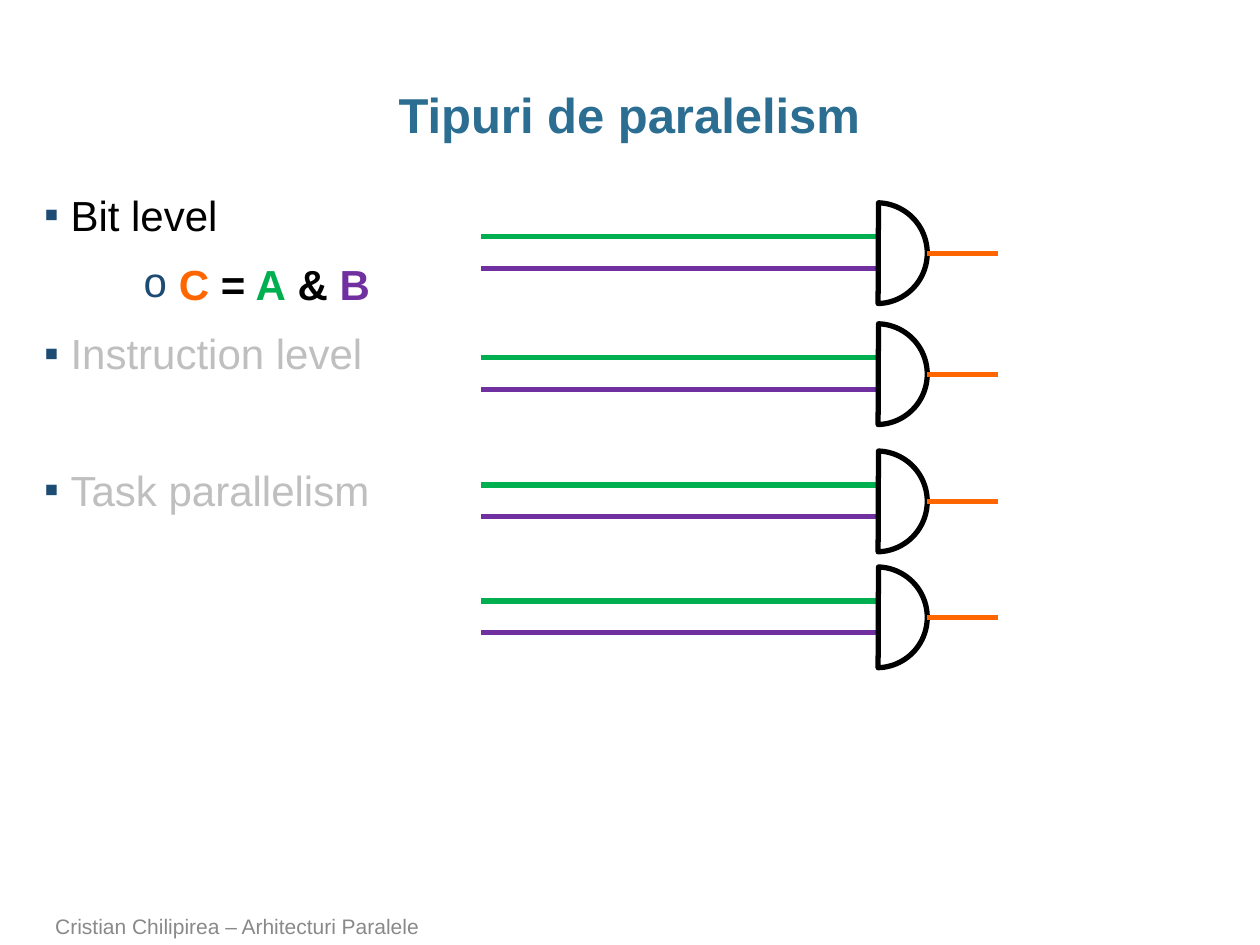
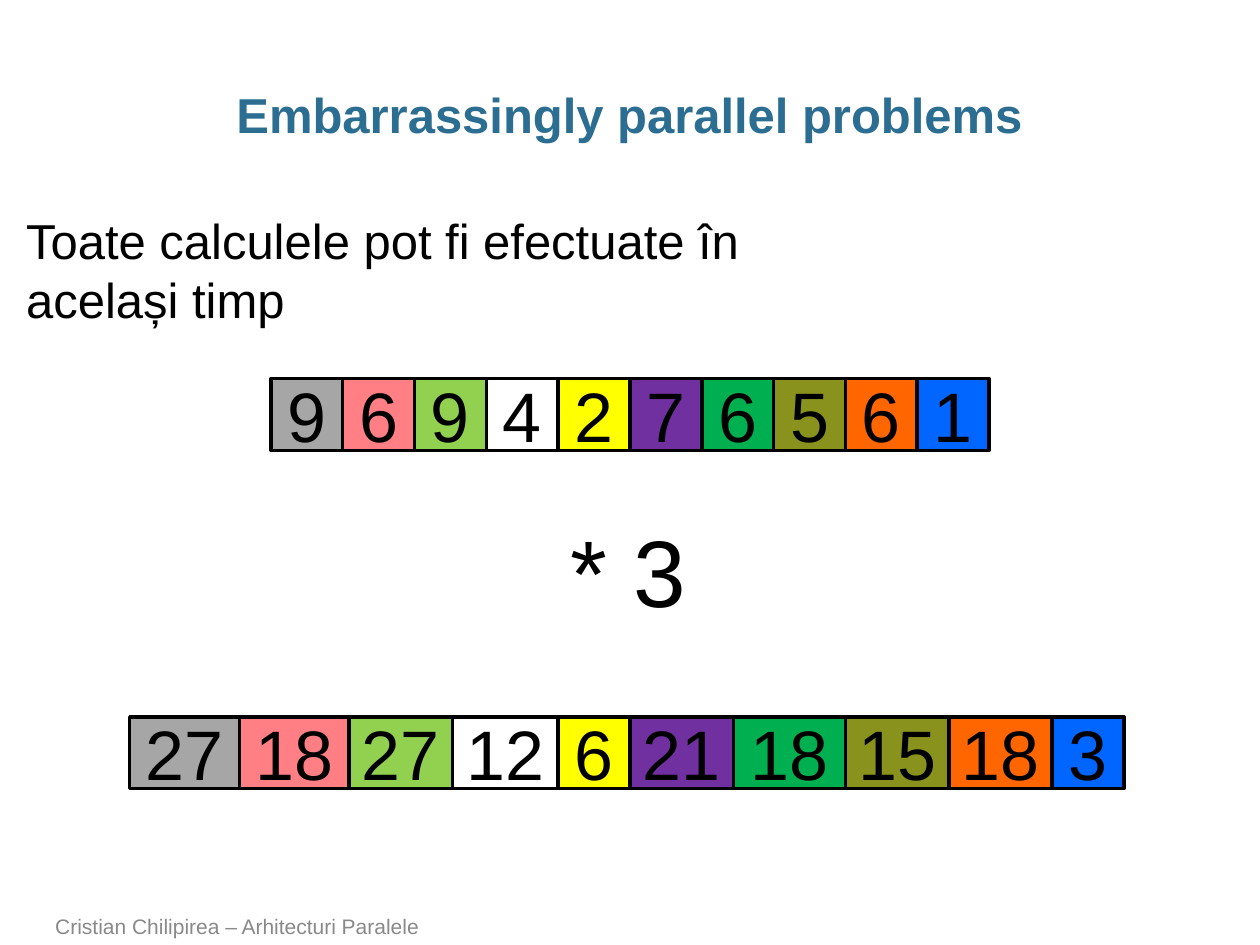
from itertools import accumulate

from lxml.etree import SubElement
from pptx import Presentation
from pptx.dml.color import RGBColor
from pptx.enum.shapes import MSO_CONNECTOR, MSO_SHAPE
from pptx.enum.text import MSO_ANCHOR, MSO_AUTO_SIZE, PP_ALIGN
from pptx.oxml.ns import qn
from pptx.util import Inches, Pt

COLS, ROWS = 100, 75
FONT = "Arial"
HEX = {
    "title": "2C6D92", "bullet": "1C4C74", "foot": "898989", "faded": "BFBFBF",
    "black": "000000", "gray": "A6A6A6", "pink": "FF7F85", "lime": "92D050",
    "yellow": "FFFF00", "purple": "7030A0", "green": "00B050",
    "olive": "8A921E", "orange": "FF6600", "blue": "0066FF",
}


def rgb(name):
    return RGBColor.from_string(HEX[name])


class Deck:
    """Holds the style and the current slide; lengths are grid columns and rows."""

    def __init__(self):
        self.prs = Presentation()
        self.prs.slide_width, self.prs.slide_height = Inches(10), Inches(7.5)
        self.col = self.prs.slide_width / COLS
        self.row = self.prs.slide_height / ROWS

    def grid(self, x, y, *size):
        """Turn (x, y) or (x, y, width, height) into slide lengths."""
        steps = (self.col, self.row) * 2
        return [round(n * step) for n, step in zip((x, y, *size), steps)]

    def style(self, para, size, color="black", bold=False):
        font = para.font
        font.name, font.size, font.bold = FONT, Pt(size), bold
        font.color.rgb = rgb(color)

    def place(self, shape, *area):
        """Move a placeholder and give it the shared margins."""
        shape.left, shape.top, shape.width, shape.height = self.grid(*area)
        frame = shape.text_frame
        frame.auto_size = MSO_AUTO_SIZE.NONE
        frame.margin_left = frame.margin_right = 0
        frame.margin_top = frame.margin_bottom = Inches(0.05)
        return frame

    def slide(self, title, layout):
        self.now = self.prs.slides.add_slide(self.prs.slide_layouts[layout])
        frame = self.place(self.now.shapes.title, 3.4, 6.8, 93.1, 5)
        frame.vertical_anchor = MSO_ANCHOR.MIDDLE
        para = frame.paragraphs[0]
        para.text = title
        para.alignment, para.line_spacing = PP_ALIGN.CENTER, 0.95
        self.style(para, 28, "title", True)
        self.text("Cristian Chilipirea – Arhitecturi Paralele",
                  (3.4, 72.2, 73.7, 2.8), 12, "foot", anchor=MSO_ANCHOR.BOTTOM)

    def text(self, words, area, size, color="black", wrap=True,
             anchor=MSO_ANCHOR.TOP):
        frame = self.now.shapes.add_textbox(*self.grid(*area)).text_frame
        frame.word_wrap, frame.vertical_anchor = wrap, anchor
        para = frame.paragraphs[0]
        para.text = words
        self.style(para, size, color)

    def bullet(self, para, mark, left, hang):
        props = para._p.get_or_add_pPr()
        props.set("marL", str(Inches(left)))
        props.set("indent", str(-Inches(hang)))
        tint = SubElement(props, qn("a:buClr"))
        SubElement(tint, qn("a:srgbClr"), val=HEX["bullet"])
        SubElement(props, qn("a:buFont"), typeface=FONT)
        SubElement(props, qn("a:buChar"), char=mark)

    def items(self, rows, *area):
        """Fill the body from (level, space before, bold, coloured parts) rows."""
        frame = self.place(self.now.placeholders[1], *area)
        for i, (level, gap, bold, parts) in enumerate(rows):
            para = frame.add_paragraph() if i else frame.paragraphs[0]
            para.level, para.space_before = level, Pt(gap)
            self.bullet(para, *(("▪", 0.21, 0.21), ("o", 1.07, 0.28))[level])
            self.style(para, 24, parts[0][1], bold)
            for words, color in parts:
                run = para.add_run()
                run.text = words
                if len(parts) > 1:
                    run.font.color.rgb = rgb(color)

    def wire(self, x, y, end, color):
        line = self.now.shapes.add_connector(
            MSO_CONNECTOR.STRAIGHT, *self.grid(x, y, end, y))
        line.line.color.rgb, line.line.width = rgb(color), Pt(3)
        SubElement(line._element.spPr, qn("a:effectLst"))

    def shape(self, kind, area, width, fill=None):
        shape = self.now.shapes.add_shape(kind, *self.grid(*area))
        shape.shadow.inherit = False
        shape.line.color.rgb, shape.line.width = rgb("black"), Pt(width)
        if fill:
            shape.fill.solid()
            shape.fill.fore_color.rgb = rgb(fill)
        else:
            shape.fill.background()
        return shape

    def gate(self, top):
        """Draw an AND gate with two inputs and one output."""
        self.wire(38.2, top + 5.2, 69.6, "purple")
        self.wire(38.2, top + 2.7, 69.6, "green")
        chord = self.shape(MSO_SHAPE.CHORD, (65.6, top, 8, 8), 3)
        chord.adjustments[0], chord.adjustments[1] = 163.11, 53.15
        self.wire(73.6, top + 4, 79.2, "orange")

    def cells(self, values, fills, widths, left, top):
        """Draw touching boxes, one for each value."""
        edges = accumulate(widths, initial=left)
        for value, fill, width, x in zip(values, fills, widths, edges):
            box = self.shape(MSO_SHAPE.RECTANGLE, (x, top, width, 5.7), 2, fill)
            frame = box.text_frame
            frame.word_wrap = False
            frame.vertical_anchor = MSO_ANCHOR.MIDDLE
            para = frame.paragraphs[0]
            para.text, para.alignment = str(value), PP_ALIGN.CENTER
            self.style(para, 40)


def types(deck):
    deck.slide("Tipuri de paralelism", 1)
    gap, line = 10.8, 27.6
    formula = [("C ", "orange"), ("=", "black"), (" A", "green"),
               (" & ", "black"), ("B", "purple")]
    deck.items([
        (0, 0, False, [("Bit level", "black")]),
        (1, gap, True, formula),
        (0, gap, False, [("Instruction level", "faded")]),
        (0, 2 * gap + line, False, [("Task parallelism", "faded")]),
    ], 3.5, 14.5, 93.2, 55.7)
    for top in (16.1, 25.7, 35.8, 45):
        deck.gate(top)


def triple(deck):
    deck.slide("Embarrassingly parallel problems", 5)
    values = [9, 6, 9, 4, 2, 7, 6, 5, 6, 1]
    fills = ["gray", "pink", "lime", None, "yellow",
             "purple", "green", "olive", "orange", "blue"]
    wide = [8.7, 8.7, 8.2, 8.4, 5.7, 8.2, 8.9, 8.2, 8.2, 5.7]
    deck.cells(values, fills, [5.7] * len(values), 21.5, 30.05)
    deck.cells([3 * n for n in values], fills, wide, 10.3, 56.9)
    deck.text("* 3", (44.3, 40.2, 11.3, 10.1), 54, wrap=False)
    deck.text("Toate calculele pot fi efectuate în același timp",
              (1.1, 16.2, 69.3, 10.4), 28)


def main():
    deck = Deck()
    types(deck)
    triple(deck)
    deck.prs.save("out.pptx")


if __name__ == "__main__":
    main()
